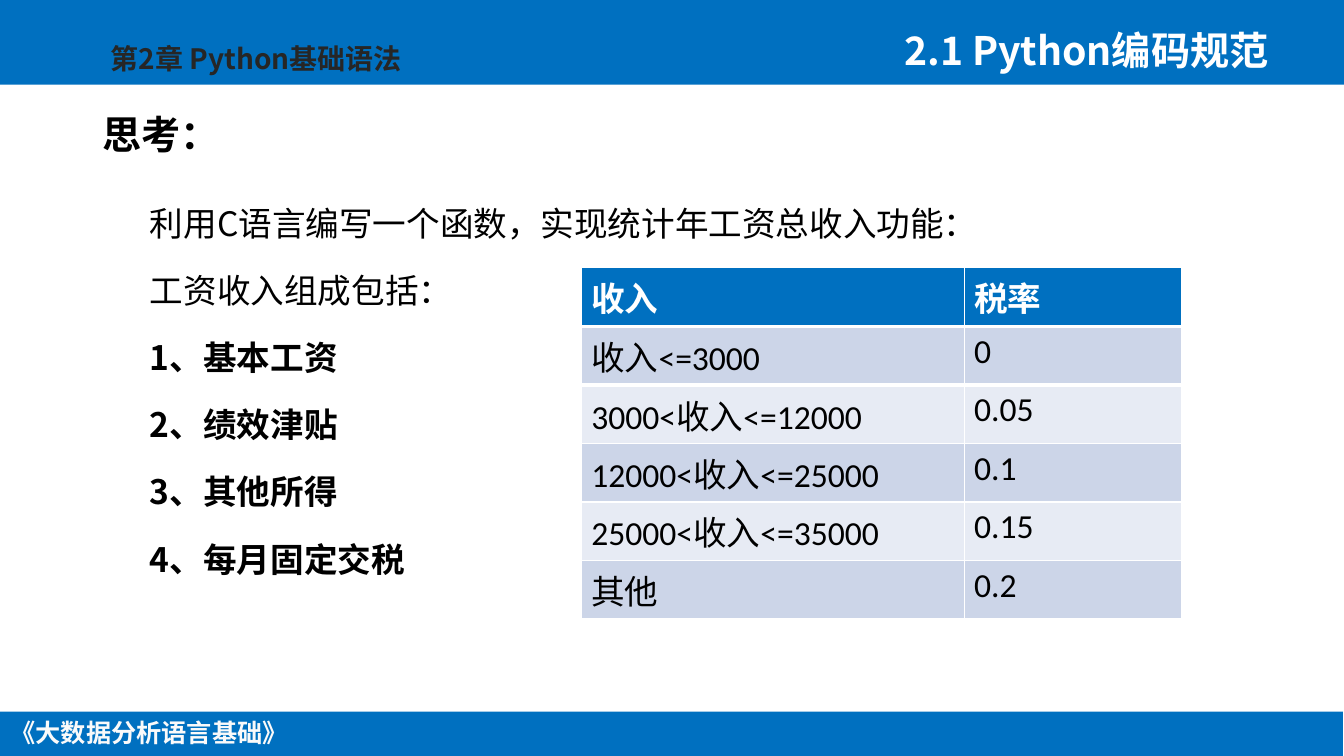
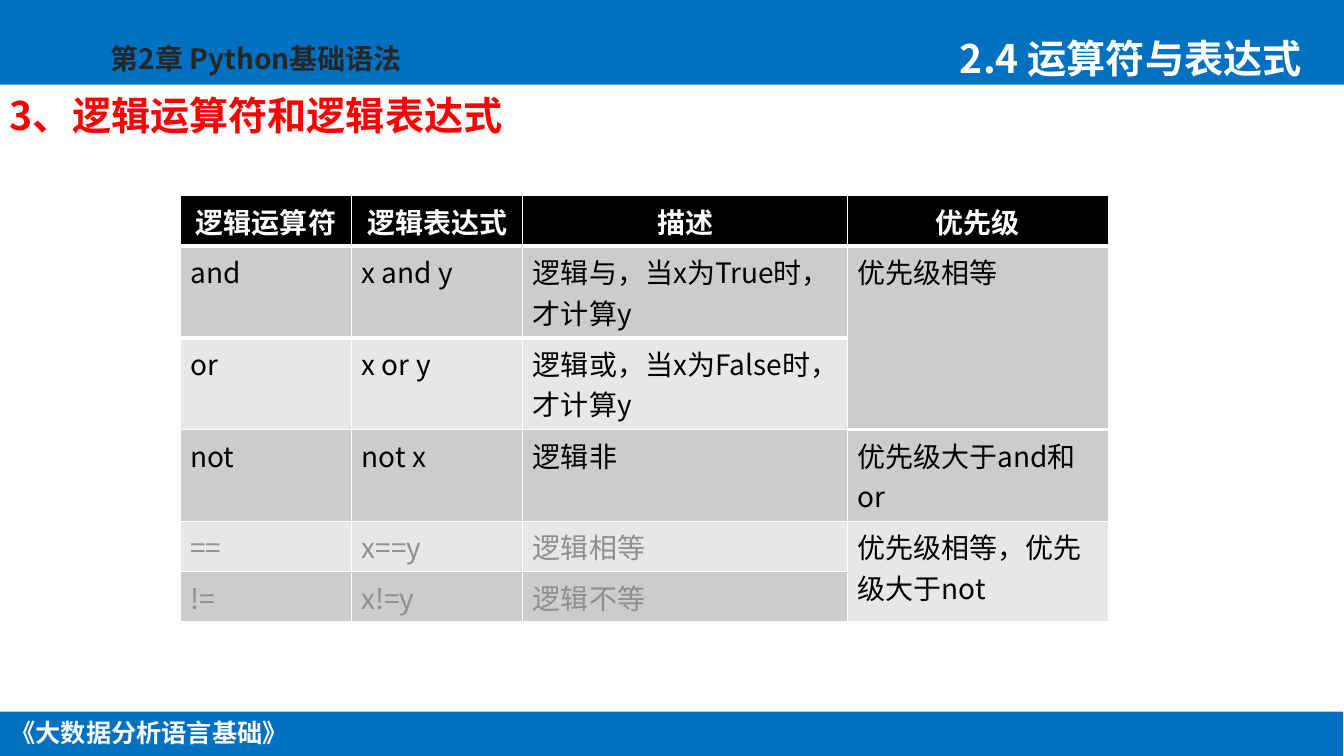
from itertools import product

from pptx import Presentation
from pptx.dml.color import RGBColor
from pptx.enum.shapes import MSO_SHAPE
from pptx.enum.text import PP_ALIGN
from pptx.oxml import parse_xml
from pptx.oxml.ns import nsdecls
from pptx.util import Inches, Pt

FONT = "Noto Sans CJK SC"
COLORS = {
    "band": "0070C0", "white": "FFFFFF", "footer": "FAFAFA",
    "chapter": "262626", "black": "000000", "red": "FF0000",
    "muted": "8F8F8F", "blue_dark": "CCD5E8", "blue_light": "E7EBF4",
    "gray_dark": "CCCCCC", "gray_light": "E7E7E7",
}

BOOK = "《大数据分析语言基础》"
CHAPTER = "第2章 Python基础语法"
BANDS = [(0, 0, 13.34, 0.84), (-0.01, 7.06, 13.34, 0.45)]

TASK = ["利用C语言编写一个函数，实现统计年工资总收入功能：", "工资收入组成包括："]
INCOME_PARTS = ["1、基本工资", "2、绩效津贴", "3、其他所得", "4、每月固定交税"]

TAX_ROWS = [
    ("收入", "税率"),
    ("收入<=3000", "0"),
    ("3000<收入<=12000", "0.05"),
    ("12000<收入<=25000", "0.1"),
    ("25000<收入<=35000", "0.15"),
    ("其他", "0.2"),
]

# None continues the cell above
LOGIC_ROWS = [
    ("逻辑运算符", "逻辑表达式", "描述", "优先级"),
    ("and", "x and y", "逻辑与，当x为True时，才计算y", "优先级相等"),
    ("or", "x or y", "逻辑或，当x为False时，才计算y", None),
    ("not", "not x", "逻辑非", "优先级大于and和or"),
    ("==", "x==y", "逻辑相等", "优先级相等，优先级大于not"),
    ("!=", "x!=y", "逻辑不等", None),
]
MUTED_CELLS = set(product((4, 5), (0, 1, 2)))


def rgb(name):
    return RGBColor.from_string(COLORS[name])


def line_xml(tag, width, color):
    return parse_xml(
        f'<a:{tag} {nsdecls("a")} w="{Pt(width)}"><a:solidFill>'
        f'<a:srgbClr val="{COLORS[color]}"/></a:solidFill></a:{tag}>')


def write(p, text, size=28, color="black", bold=False, font=FONT,
          align=None, outline=None):
    """Add a formatted run to paragraph p."""
    r = p.add_run()
    r.text = text
    r.font.size, r.font.bold, r.font.name = Pt(size), bold, font
    r.font.color.rgb = rgb(color)
    rPr = r.font._element
    rPr.append(parse_xml(f'<a:ea {nsdecls("a")} typeface="{FONT}"/>'))
    if outline:
        rPr.insert(0, line_xml("ln", 1.06, outline))
    if align is not None:
        p.alignment = align


def add_box(s, at, text=None, wrap=True, **fmt):
    tf = s.shapes.add_textbox(*map(Inches, at)).text_frame
    tf.word_wrap = wrap
    if text:
        write(tf.paragraphs[0], text, **fmt)
    return tf


def add_slide(prs):
    """Add a blank slide with the shared bands, chapter and book names."""
    s = prs.slides.add_slide(prs.slide_layouts[6])
    for at in BANDS:
        sp = s.shapes.add_shape(MSO_SHAPE.RECTANGLE, *map(Inches, at))
        sp.shadow.inherit = False
        sp.fill.solid()
        sp.fill.fore_color.rgb = rgb("band")
        sp.line.fill.background()
    add_box(s, (-0.01, 7.07, 2.98, 0.4), BOOK, wrap=False, size=18,
            color="footer", bold=True, align=PP_ALIGN.CENTER)
    add_box(s, (1, 0.36, 3.78, 0.44), CHAPTER, size=20, color="chapter",
            bold=True, outline="white")
    return s


def add_grid(s, left, top, widths, heights, rows, head, stripes,
             head_align=None, muted=(), **fmt):
    """Add a table with a header row and two alternating row fills."""
    table = s.shapes.add_table(
        len(rows), len(widths), Inches(left), Inches(top),
        Inches(sum(widths)), Inches(sum(heights))).table
    for column, width in zip(table.columns, widths):
        column.width = Inches(width)
    for row, height in zip(table.rows, heights):
        row.height = Inches(height)
    for i, j in product(range(len(rows)), range(len(widths))):
        cell, text = table.cell(i, j), rows[i][j]
        if text is None:
            table.cell(i - 1, j).merge(cell)
            continue
        cell.fill.solid()
        cell.fill.fore_color.rgb = rgb(stripes[(i - 1) % 2] if i else head)
        p = cell.text_frame.paragraphs[0]
        if i == 0:
            cell._tc.get_or_add_tcPr().insert(0, line_xml("lnB", 3, "white"))
            write(p, text, color="white", bold=True, align=head_align, **fmt)
        else:
            if i == 1:
                cell._tc.get_or_add_tcPr().insert(
                    0, line_xml("lnT", 3, "white"))
            color = "muted" if (i, j) in muted else "black"
            write(p, text, color=color, **fmt)


def build_income_slide(prs):
    s = add_slide(prs)
    add_box(s, (8.88, 0.21, 4.36, 0.57), "2.1 Python编码规范",
            color="white", bold=True)
    add_box(s, (0.92, 1.05, 1.94, 0.53), "思考：", bold=True)
    tf = add_box(s, (1.39, 1.76, 8.8, 4.51))
    for i, text in enumerate(TASK + INCOME_PARTS):
        p = tf.add_paragraph() if i else tf.paragraphs[0]
        p.line_spacing, p.space_before = 1.5, Pt(4.8)
        write(p, text, size=24, bold=text in INCOME_PARTS)
    add_grid(s, 5.77, 2.65, [3.8, 2.16], [0.59] + [0.58] * 5, TAX_ROWS,
             "band", ("blue_dark", "blue_light"), size=24, font="Calibri")


def build_logic_slide(prs):
    s = add_slide(prs)
    add_box(s, (0, 0.86, 7.97, 0.85), "3、逻辑运算符和逻辑表达式",
            color="red", bold=True)
    add_grid(s, 1.79, 1.94, [1.7, 1.7, 3.22, 2.59],
             [0.5] + [0.91] * 3 + [0.5] * 2, LOGIC_ROWS, "black",
             ("gray_dark", "gray_light"), head_align=PP_ALIGN.CENTER,
             muted=MUTED_CELLS, size=20)
    add_box(s, (9.43, 0.29, 3.91, 0.57), "2.4 运算符与表达式",
            color="white", bold=True)


def main():
    prs = Presentation()
    prs.slide_width, prs.slide_height = Inches(13.34), Inches(7.5)
    build_income_slide(prs)
    build_logic_slide(prs)
    prs.save("out.pptx")


if __name__ == "__main__":
    main()
